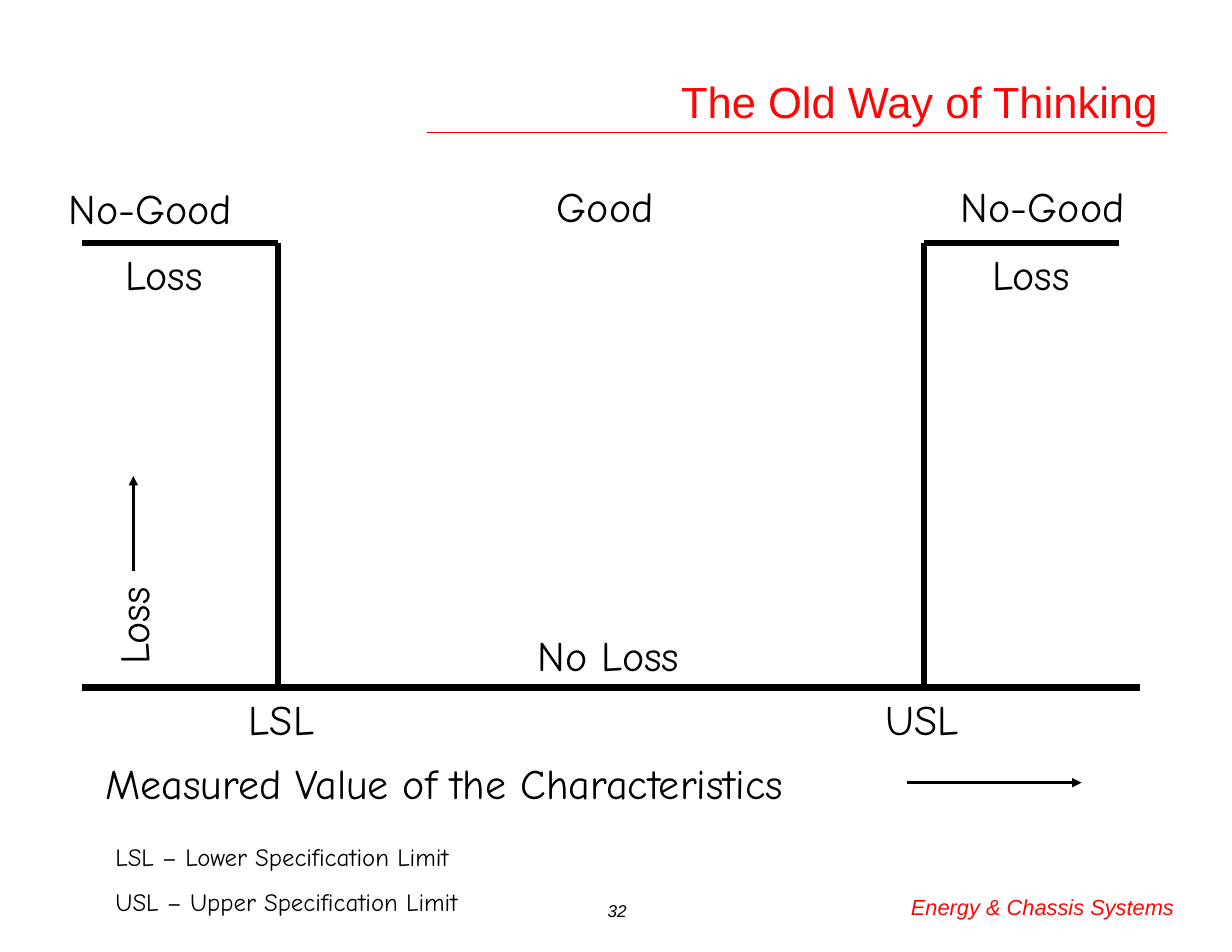
import pptx
import pptx.dml.color
import pptx.enum.shapes
import pptx.enum.text
import pptx.oxml
import pptx.oxml.ns
import pptx.util

Pt = pptx.util.Pt
ALIGN = pptx.enum.text.PP_ALIGN
ANCHOR = pptx.enum.text.MSO_ANCHOR
BLACK = "000000"
RED = "FE0606"
RULE_RED = "FF0000"
HAND_FONT = "Comic Neue"
LABEL_HEIGHT = 40.3


def set_color(color_format, value):
    color_format.rgb = pptx.dml.color.RGBColor.from_string(value)


def append_xml(parent, tag, attributes=""):
    namespace = pptx.oxml.ns.nsdecls("a")
    parent.append(pptx.oxml.parse_xml(f"<a:{tag} {namespace} {attributes}/>"))


def write_text(shape, text, size=27, font=HAND_FONT, color=BLACK, italic=False,
               align=ALIGN.LEFT, anchor=ANCHOR.TOP, wrap=True, space_before=0,
               line_spacing=1.0, margins=(8, 4)):
    frame = shape.text_frame
    frame.word_wrap = wrap
    frame.auto_size = pptx.enum.text.MSO_AUTO_SIZE.NONE
    frame.vertical_anchor = anchor
    frame.margin_left = frame.margin_right = Pt(margins[0])
    frame.margin_top = frame.margin_bottom = Pt(margins[1])
    frame.text = text
    for paragraph in frame.paragraphs:
        paragraph.alignment = align
        paragraph.space_before = Pt(space_before)
        paragraph.line_spacing = line_spacing
        for run in paragraph.runs:
            run.font.size = Pt(size)
            run.font.name = font
            run.font.italic = italic
            set_color(run.font.color, color)


def add_text(slide, text, left, top, width, height=LABEL_HEIGHT, **text_format):
    shape = slide.shapes.add_textbox(Pt(left), Pt(top), Pt(width), Pt(height))
    write_text(shape, text, **text_format)
    return shape


def add_line(slide, start, end, width=4, color=BLACK, arrow=False):
    line = slide.shapes.add_connector(
        pptx.enum.shapes.MSO_CONNECTOR.STRAIGHT,
        Pt(start[0]), Pt(start[1]), Pt(end[0]), Pt(end[1]))
    line.line.width = Pt(width)
    set_color(line.line.color, color)
    properties = line._element.spPr
    if arrow:
        append_xml(properties.find(pptx.oxml.ns.qn("a:ln")), "tailEnd", 'type="triangle"')
    append_xml(properties, "effectLst")


def add_title(slide, left, top, width, height):
    title = slide.shapes.title
    title.left, title.top = Pt(left), Pt(top)
    title.width, title.height = Pt(width), Pt(height)
    write_text(title, "The Old Way of Thinking", size=28, font="Arial", color=RED,
               align=ALIGN.RIGHT, anchor=ANCHOR.BOTTOM, line_spacing=0.85)
    rule_y = top + height - 0.5
    add_line(slide, (left + 26.5, rule_y), (left + width - 1.5, rule_y),
             width=1, color=RULE_RED)


def add_loss_diagram(slide, left, top, width, height):
    bottom = top + height
    lower_limit = left + 126
    upper_limit = left + 541.5
    for limit, outer_end in ((lower_limit, left), (upper_limit, upper_limit + 125.5)):
        add_line(slide, (outer_end, top), (limit, top))
        add_line(slide, (limit, top), (limit, bottom))
    add_line(slide, (left, bottom), (left + width, bottom))

    above = top - 43.7
    add_text(slide, "No-Good", left - 16.5, above + 1.3, 184)
    add_text(slide, "Good", left + 297.5, above, 79, wrap=False)
    add_text(slide, "No-Good", left + 557.3, above, 121, wrap=False)
    add_text(slide, "Loss", left + 20.3, top, 105)
    add_text(slide, "Loss", left + 577.5, top, 66, wrap=False)
    add_text(slide, "No Loss", left + 285.3, bottom - 41, 107, wrap=False)
    add_text(slide, "LSL", lower_limit - 26.5, bottom, 111.5)
    add_text(slide, "USL", upper_limit - 33, bottom, 85.7)

    axis_label = add_text(slide, "Loss", left - 28.8, bottom - 88.5, 123)
    axis_label.rotation = 270
    arrow_x = left + 33.2
    add_line(slide, (arrow_x, bottom - 75), (arrow_x, bottom - 136), width=2, arrow=True)


def add_characteristic_axis(slide, left, top, width, height):
    add_text(slide, "Measured Value of the Characteristics", left, top, width, height)
    arrow_y = top + height / 2
    add_line(slide, (left + 523.5, arrow_y), (left + 635.5, arrow_y), width=2, arrow=True)


def add_legend(slide, left, top, width, height):
    add_text(slide, "LSL – Lower Specification Limit\nUSL – Upper Specification Limit",
             left, top, width, height, size=16, space_before=10)


def add_footer(slide, left, top, width, height):
    add_text(slide, "32", left, top + 3.6, 67.5, height - 2.4, size=11, font="Arial",
             italic=True, align=ALIGN.CENTER)
    add_text(slide, "Energy & Chassis Systems", left + width - 214, top, 214, height,
             size=14, font="Arial", color=RED, italic=True, align=ALIGN.RIGHT,
             margins=(7.2, 3.6))


def main():
    presentation = pptx.Presentation()
    presentation.slide_width = Pt(792)
    presentation.slide_height = Pt(612)
    slide = presentation.slides.add_slide(presentation.slide_layouts[5])
    add_title(slide, 248, 7.2, 504, 78.5)
    add_loss_diagram(slide, 52.5, 156, 680.5, 286)
    add_characteristic_axis(slide, 59.8, 483, 653, LABEL_HEIGHT)
    add_legend(slide, 66.2, 537, 409, 56)
    add_footer(slide, 363, 571, 399, 24)
    presentation.save("out.pptx")


if __name__ == "__main__":
    main()
